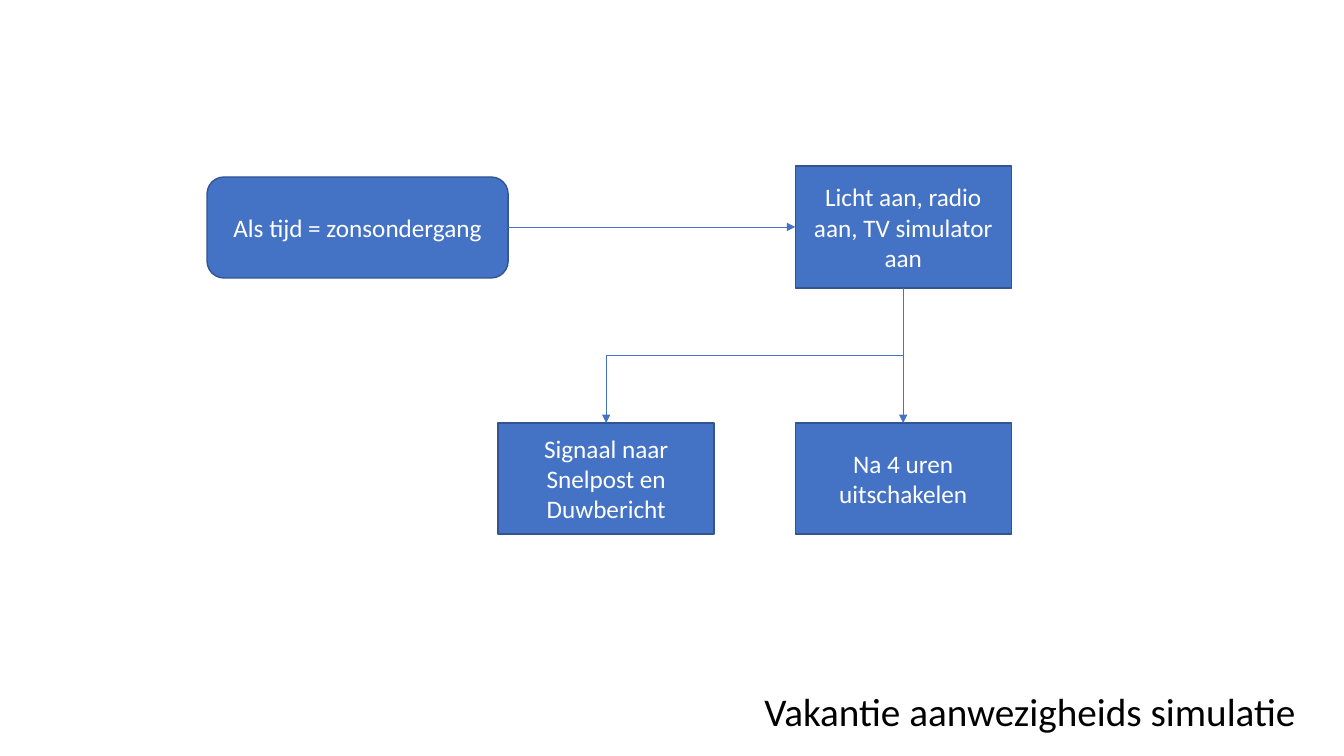
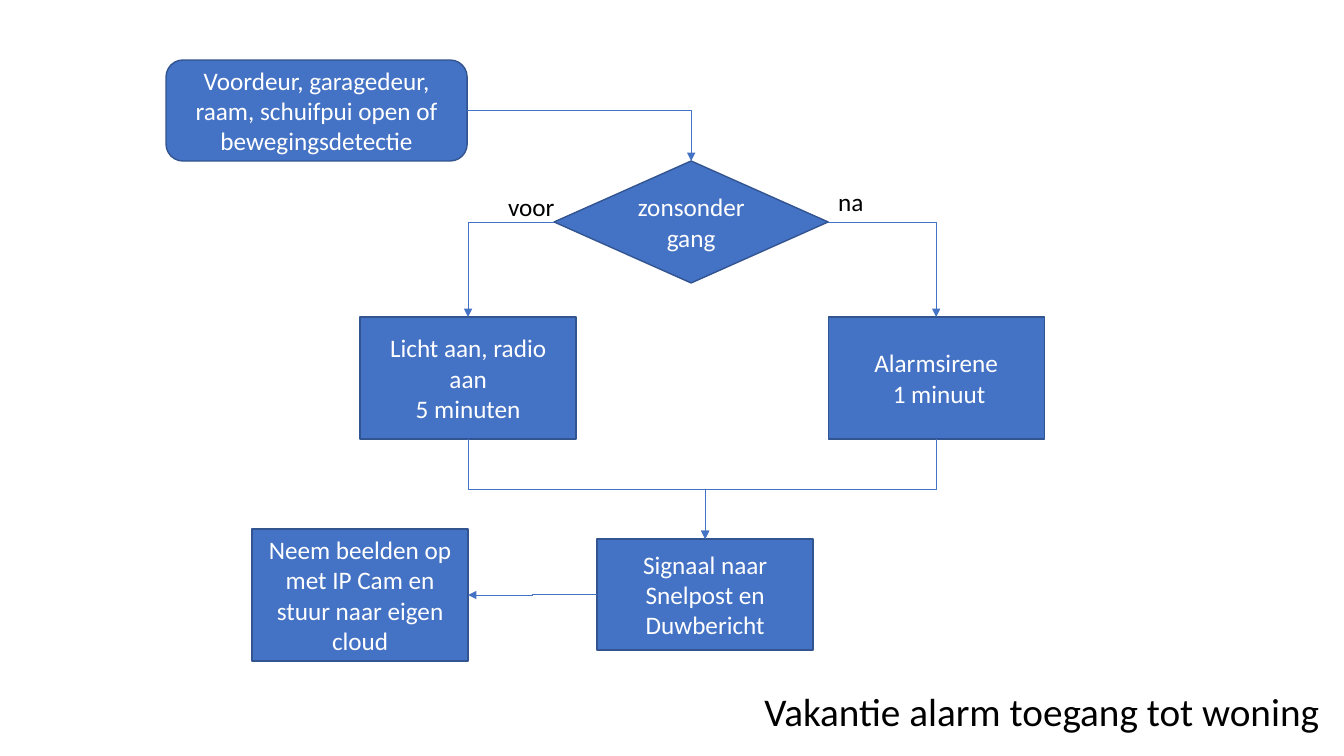
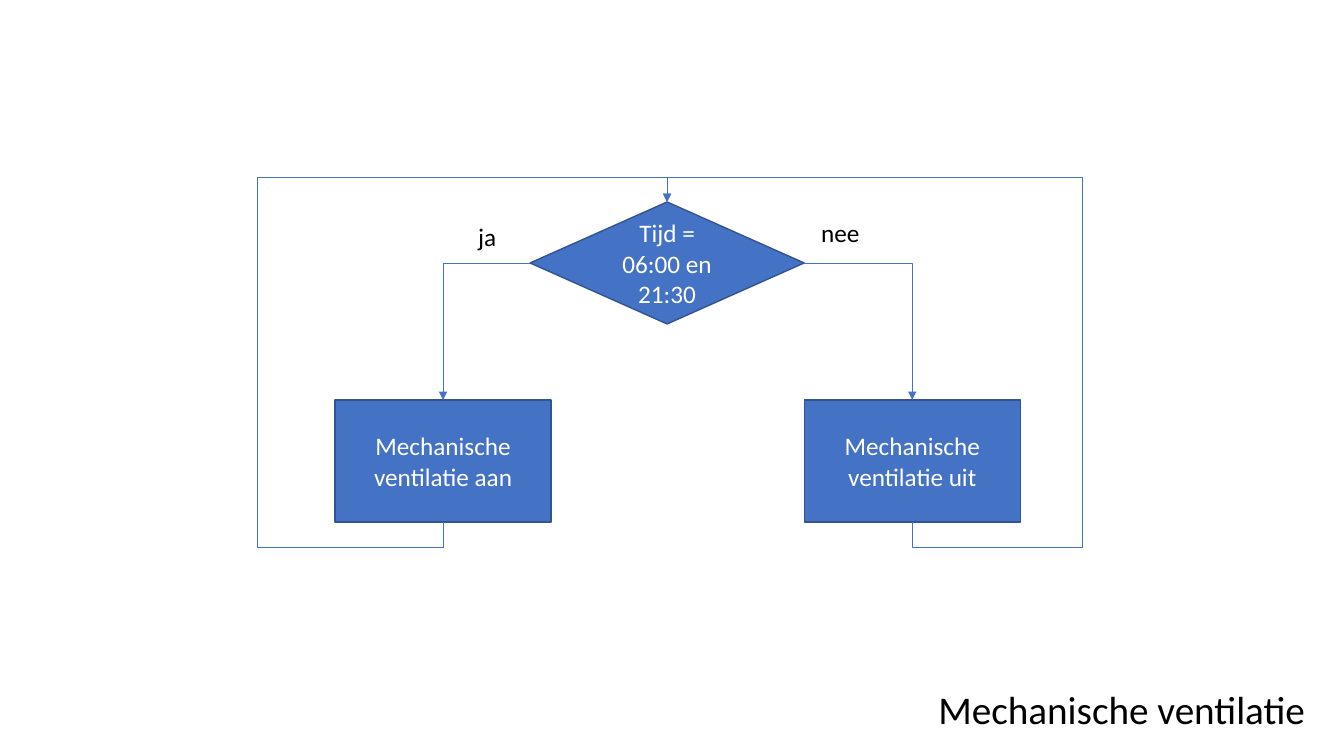
from pptx import Presentation
from pptx import util as u
from pptx.dml.color import RGBColor
from pptx.enum import shapes, text
from pptx.oxml import ns
from lxml import etree

BLUE = RGBColor(0x44, 0x72, 0xC4)
OUTLINE = RGBColor(0x32, 0x54, 0x91)
WHITE = RGBColor(0xFF, 0xFF, 0xFF)
BLACK = RGBColor(0, 0, 0)
FONT = "Calibri"
TITLE_SIZE = 28
BODY_SIZE = 18
TITLE_ONLY = 5
TOP, LEFT, BOTTOM, RIGHT = range(4)
RECTANGLE = shapes.MSO_SHAPE.RECTANGLE
ROUNDED = shapes.MSO_SHAPE.ROUNDED_RECTANGLE
DIAMOND = shapes.MSO_SHAPE.DIAMOND
START_SIZE = (301, 101)
CHOICE_SIZE = (274, 122)
ACTION_SIZE = (216, 122)
SIGNAL_SIZE = (216, 111)
CAMERA_SIZE = (216, 132)
SIGNAL_TEXT = "Signaal naar Snelpost en Duwbericht"


def px(pixels):
    return u.Emu(round(pixels * 914400 / 100.8))


class Flowchart:
    def __init__(self):
        self.presentation = Presentation()
        self.presentation.slide_width = u.Inches(13.33)
        self.presentation.slide_height = u.Inches(7.5)
        self.slide = None

    def add_slide(self, title, left, top, width):
        layout = self.presentation.slide_layouts[TITLE_ONLY]
        self.slide = self.presentation.slides.add_slide(layout)
        shape = self.slide.shapes.title
        self.place(shape, left, top, width, 57)
        self.set_plain_text(shape, title, TITLE_SIZE)

    def place(self, shape, left, top, width, height):
        shape.left, shape.top = px(left), px(top)
        shape.width, shape.height = px(width), px(height)

    def set_text(self, frame, content, size, color, alignment):
        frame.text = content
        for paragraph in frame.paragraphs:
            paragraph.alignment = alignment
            paragraph.font.name = FONT
            paragraph.font.size = u.Pt(size)
            paragraph.font.color.rgb = color

    def set_plain_text(self, shape, content, size):
        frame = shape.text_frame
        self.set_text(frame, content, size, BLACK, text.PP_ALIGN.LEFT)
        frame.word_wrap = False
        frame.auto_size = text.MSO_AUTO_SIZE.SHAPE_TO_FIT_TEXT
        frame.vertical_anchor = text.MSO_ANCHOR.TOP

    def label(self, content, left, top, width):
        shape = self.slide.shapes.add_textbox(px(left), px(top), px(width), px(40))
        self.set_plain_text(shape, content, BODY_SIZE)

    def node(self, content, left, top, size, kind=RECTANGLE):
        shape = self.slide.shapes.add_shape(kind, px(left), px(top), px(size[0]), px(size[1]))
        shape.shadow.inherit = False
        shape.fill.solid()
        shape.fill.fore_color.rgb = BLUE
        shape.line.color.rgb = OUTLINE
        shape.line.width = u.Pt(1)
        frame = shape.text_frame
        frame.word_wrap = True
        frame.vertical_anchor = text.MSO_ANCHOR.MIDDLE
        self.set_text(frame, content, BODY_SIZE, WHITE, text.PP_ALIGN.CENTER)
        return shape

    def arrow(self, source, source_side, target, target_side):
        connector = self.slide.shapes.add_connector(shapes.MSO_CONNECTOR.ELBOW, 0, 0, 0, 0)
        connector.begin_connect(source, source_side)
        connector.end_connect(target, target_side)
        connector.line.color.rgb = BLUE
        connector.line.width = u.Pt(0.5)
        properties = connector._element.spPr
        line = properties.find(ns.qn("a:ln"))
        etree.SubElement(line, ns.qn("a:tailEnd"), type="triangle")
        etree.SubElement(properties, ns.qn("a:effectLst"))
        if source_side == BOTTOM:
            self.turn_downward(connector)
        elif target_side == TOP:
            self.geometry(connector).set("prst", "bentConnector2")
        return connector

    def geometry(self, connector):
        return connector._element.spPr.find(ns.qn("a:prstGeom"))

    def turn_downward(self, connector):
        across = connector.end_x - connector.begin_x
        down = connector.end_y - connector.begin_y
        center_x = (connector.begin_x + connector.end_x) // 2
        center_y = (connector.begin_y + connector.end_y) // 2
        connector.width, connector.height = abs(down), abs(across)
        connector.left = center_x - abs(down) // 2
        connector.top = center_y - abs(across) // 2
        transform = connector._element.spPr.find(ns.qn("a:xfrm"))
        transform.set("rot", "5400000")
        transform.set("flipH", str(int(down < 0)))
        transform.set("flipV", str(int(across > 0)))

    def loop_back(self, source, target, outer_x, clearance=25):
        connector = self.arrow(source, BOTTOM, target, TOP)
        start_x = source.left + source.width / 2
        end_x = target.left + target.width / 2
        overshoot = px(clearance) / (source.top + source.height - target.top)
        sideways = (px(outer_x) - start_x) / (end_x - start_x)
        geometry = self.geometry(connector)
        geometry.set("prst", "bentConnector5")
        guides = geometry.find(ns.qn("a:avLst"))
        for number, share in enumerate((-overshoot, sideways, 1 + overshoot), 1):
            etree.SubElement(guides, ns.qn("a:gd"), name=f"adj{number}",
                             fmla=f"val {round(share * 100000)}")


chart = Flowchart()

chart.add_slide("Vakantie aanwezigheids simulatie", 754, 682, 557)
sunset = chart.node("Als tijd = zonsondergang", 207, 177, START_SIZE, ROUNDED)
switch_on = chart.node("Licht aan, radio aan, TV simulator aan", 795, 166, ACTION_SIZE)
signal = chart.node(SIGNAL_TEXT, 498, 423, SIGNAL_SIZE)
switch_off = chart.node("Na 4 uren uitschakelen", 795, 423, SIGNAL_SIZE)
chart.arrow(sunset, RIGHT, switch_on, LEFT)
for follow_up in (signal, switch_off):
    chart.arrow(switch_on, BOTTOM, follow_up, TOP)

chart.add_slide("Vakantie alarm toegang tot woning", 754, 682, 581)
entry = chart.node("Voordeur, garagedeur, raam, schuifpui open of bewegingsdetectie",
                   166, 60, START_SIZE, ROUNDED)
sunset = chart.node("zonsondergang", 554, 161, CHOICE_SIZE, DIAMOND)
lights = chart.node("Licht aan, radio aan\n5 minuten", 360, 317, ACTION_SIZE)
siren = chart.node("Alarmsirene\n 1 minuut", 828, 317, ACTION_SIZE)
signal = chart.node(SIGNAL_TEXT, 597, 539, SIGNAL_SIZE)
camera = chart.node("Neem beelden op met IP Cam en stuur naar eigen cloud",
                    252, 529, CAMERA_SIZE)
chart.arrow(entry, RIGHT, sunset, TOP)
chart.arrow(sunset, LEFT, lights, TOP)
chart.arrow(sunset, RIGHT, siren, TOP)
for alarm in (siren, lights):
    chart.arrow(alarm, BOTTOM, signal, TOP)
chart.arrow(signal, LEFT, camera, RIGHT)
chart.label("voor", 498, 186, 68)
chart.label("na", 828, 181, 46)

chart.add_slide("Mechanische ventilatie", 928, 680, 391)
schedule = chart.node("Tijd = 06:00 en 21:30", 530, 202, CHOICE_SIZE, DIAMOND)
fan_on = chart.node("Mechanische ventilatie aan", 335, 400, ACTION_SIZE)
fan_off = chart.node("Mechanische ventilatie uit", 804, 400, ACTION_SIZE)
chart.arrow(schedule, LEFT, fan_on, TOP)
chart.arrow(schedule, RIGHT, fan_off, TOP)
chart.loop_back(fan_off, schedule, 1082)
chart.loop_back(fan_on, schedule, 257)
chart.label("ja", 468, 216, 38)
chart.label("nee", 811, 212, 59)

chart.presentation.save("out.pptx")
